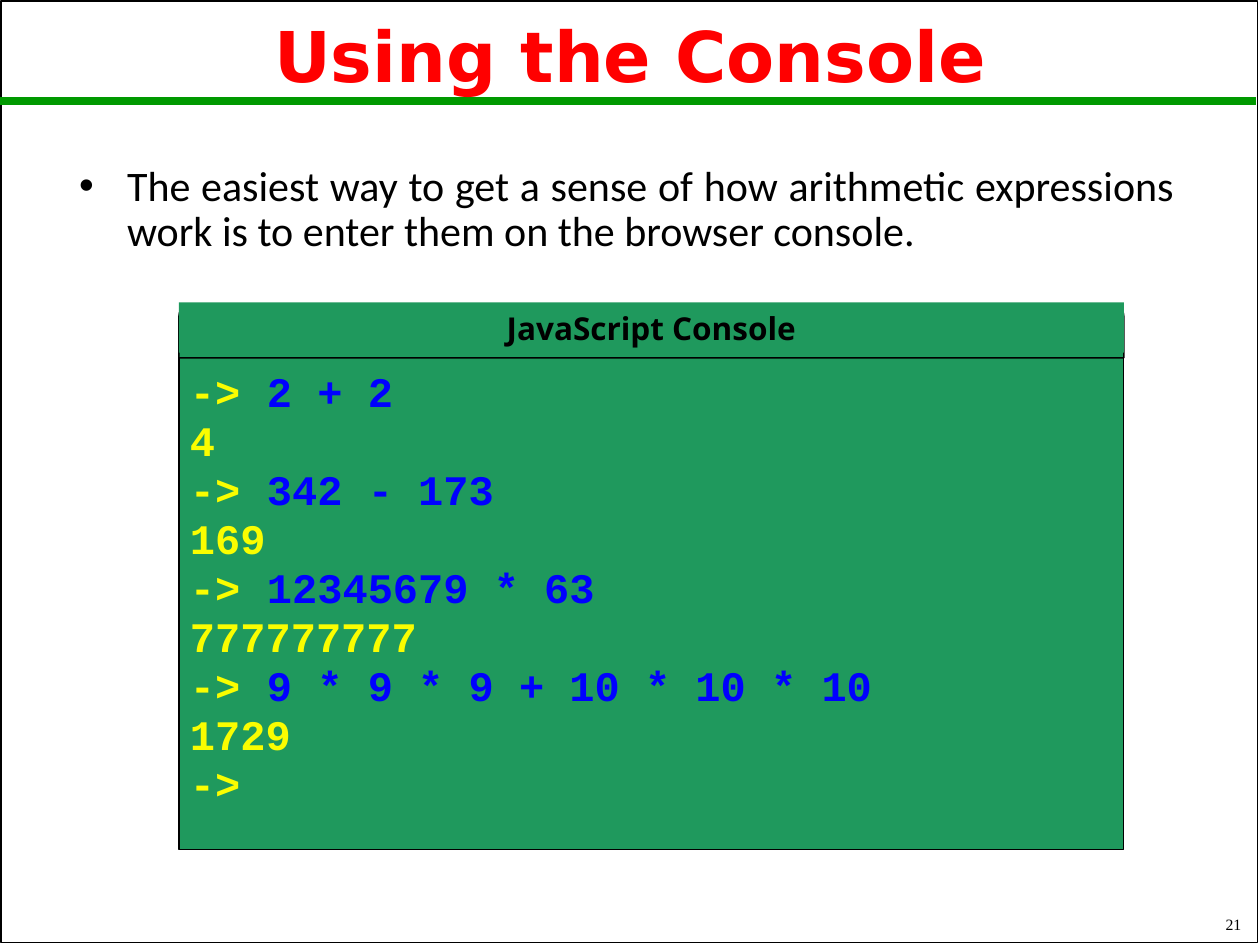
from lxml import etree
from pptx import Presentation
from pptx.dml.color import RGBColor
from pptx.enum.shapes import MSO_CONNECTOR, MSO_SHAPE
from pptx.enum.text import MSO_ANCHOR, PP_ALIGN
from pptx.oxml.ns import qn
from pptx.util import Inches, Pt

RECTANGLE = MSO_SHAPE.RECTANGLE
ROUND_TOP = MSO_SHAPE.ROUND_2_SAME_RECTANGLE
STRAIGHT = MSO_CONNECTOR.STRAIGHT
TOP, MIDDLE, BOTTOM = MSO_ANCHOR.TOP, MSO_ANCHOR.MIDDLE, MSO_ANCHOR.BOTTOM
LEFT, CENTER, RIGHT, JUSTIFY = PP_ALIGN.LEFT, PP_ALIGN.CENTER, PP_ALIGN.RIGHT, PP_ALIGN.JUSTIFY

BLACK = RGBColor(0x00, 0x00, 0x00)
RED = RGBColor(0xFF, 0x00, 0x00)
RULE_GREEN = RGBColor(0x00, 0x99, 0x00)
CONSOLE_GREEN = RGBColor(0x1F, 0x99, 0x5D)
YELLOW = RGBColor(0xFA, 0xFD, 0x00)
BLUE = RGBColor(0x00, 0x00, 0xFF)

PROMPT = "->"
SESSION = [
    ("2 + 2", "4"),
    ("342 - 173", "169"),
    ("12345679 * 63", "777777777"),
    ("9 * 9 * 9 + 10 * 10 * 10", "1729"),
]


def write(frame, text, size, font, color, bold=False, align=LEFT, anchor=TOP):
    """Write one formatted run into a text frame and return its paragraph."""
    frame.word_wrap = True
    frame.vertical_anchor = anchor
    paragraph = frame.paragraphs[0]
    paragraph.alignment = align
    run = paragraph.add_run()
    run.text = text
    run.font.size = Pt(size)
    run.font.name = font
    run.font.color.rgb = color
    run.font.bold = bold
    return paragraph


def add_panel(shapes, kind, box, fill=None, line_width=None):
    """Add a shadowless preset shape with an optional fill and black outline."""
    panel = shapes.add_shape(kind, *map(Inches, box))
    panel.shadow.inherit = False
    if fill is None:
        panel.fill.background()
    else:
        panel.fill.solid()
        panel.fill.fore_color.rgb = fill
    if line_width is None:
        panel.line.fill.background()
    else:
        panel.line.color.rgb = BLACK
        panel.line.width = Pt(line_width)
    return panel


def add_header(slide, box):
    """Place the slide border, the green rule and the title."""
    left, top, width, height = box
    add_panel(slide.shapes, RECTANGLE, (0.01, 0.01, 9.97, 7.47), line_width=1)
    rule = slide.shapes.add_connector(
        STRAIGHT, Inches(left), Inches(0.8), Inches(left + 9.97), Inches(0.8))
    rule.line.color.rgb = RULE_GREEN
    rule.line.width = Pt(4.5)
    etree.SubElement(rule.element.spPr, qn("a:effectLst"))
    title = slide.shapes.title
    title.left, title.top = Inches(left), Inches(top)
    title.width, title.height = Inches(width), Inches(height)
    rule.element.addnext(title.element)
    heading = write(title.text_frame, "Using the Console", 40, "DejaVu Sans", RED,
                    bold=True, align=CENTER, anchor=MIDDLE)
    heading.line_spacing = 0.9


def add_introduction(slide, box):
    """Place the bulleted introduction."""
    introduction = slide.shapes.add_textbox(*map(Inches, box))
    paragraph = write(
        introduction.text_frame,
        "The easiest way to get a sense of how arithmetic expressions work "
        "is to enter them on the browser console.",
        24, "Calibri", BLACK, align=JUSTIFY)
    paragraph.line_spacing = 0.9
    properties = paragraph.runs[0].font._element.getparent().getparent().get_or_add_pPr()
    properties.set("marL", str(Inches(0.38)))
    properties.set("indent", str(-Inches(0.38)))
    etree.SubElement(properties, qn("a:buFont")).set("typeface", "Arial")
    etree.SubElement(properties, qn("a:buChar")).set("char", "•")


def add_console_window(slide, box):
    """Place the grouped console window with its title bar."""
    left, top, width, height = box
    window = slide.shapes.add_group_shape().shapes
    add_panel(window, RECTANGLE, (left, top + 0.42, width, height - 0.42),
              CONSOLE_GREEN, 0.75)
    tab = add_panel(window, ROUND_TOP, (left, top + 0.02, width, 0.42),
                    CONSOLE_GREEN, 0.75)
    tab.adjustments[0] = 0.206
    tab.adjustments[1] = 0
    title_bar = add_panel(window, RECTANGLE, (left, top, width, 0.4), CONSOLE_GREEN)
    write(title_bar.text_frame, "JavaScript Console", 18, "Open Sans", BLACK,
          bold=True, align=CENTER)


def add_console_text(slide, left, top, width, text, color):
    """Place one piece of console text."""
    entry = slide.shapes.add_textbox(Inches(left), Inches(top), Inches(width), Inches(0.5))
    write(entry.text_frame, text, 24, "Courier New", color, bold=True)


def add_session(slide, box):
    """Place the prompts, expressions and results line by line."""
    left, top, width, height = box
    pitch = height / (2 * len(SESSION))
    for index, (expression, result) in enumerate(SESSION):
        line_top = top + 2 * index * pitch
        add_console_text(slide, left, line_top, 0.67, PROMPT, YELLOW)
        add_console_text(slide, left + 0.61, line_top, 6.91, expression, BLUE)
        add_console_text(slide, left, line_top + pitch, width, result, YELLOW)
    add_console_text(slide, left, top + height, 0.67, PROMPT, YELLOW)


def add_page_number(slide, box):
    """Place the page number."""
    number = slide.shapes.add_textbox(*map(Inches, box))
    write(number.text_frame, "21", 9, "Times New Roman", BLACK, align=RIGHT, anchor=BOTTOM)


def main():
    """Build and save the slide."""
    presentation = Presentation()
    presentation.slide_width, presentation.slide_height = Inches(10), Inches(7.5)
    slide = presentation.slides.add_slide(presentation.slide_layouts[5])
    add_header(slide, (0, 0.08, 10, 0.79))
    add_introduction(slide, (0.53, 1.26, 8.89, 0.99))
    add_console_window(slide, (1.42, 2.4, 7.5, 4.34))
    add_session(slide, (1.41, 2.85, 7.5, 3.11))
    add_page_number(slide, (7.87, 7.17, 2.08, 0.29))
    presentation.save("out.pptx")


if __name__ == "__main__":
    main()
